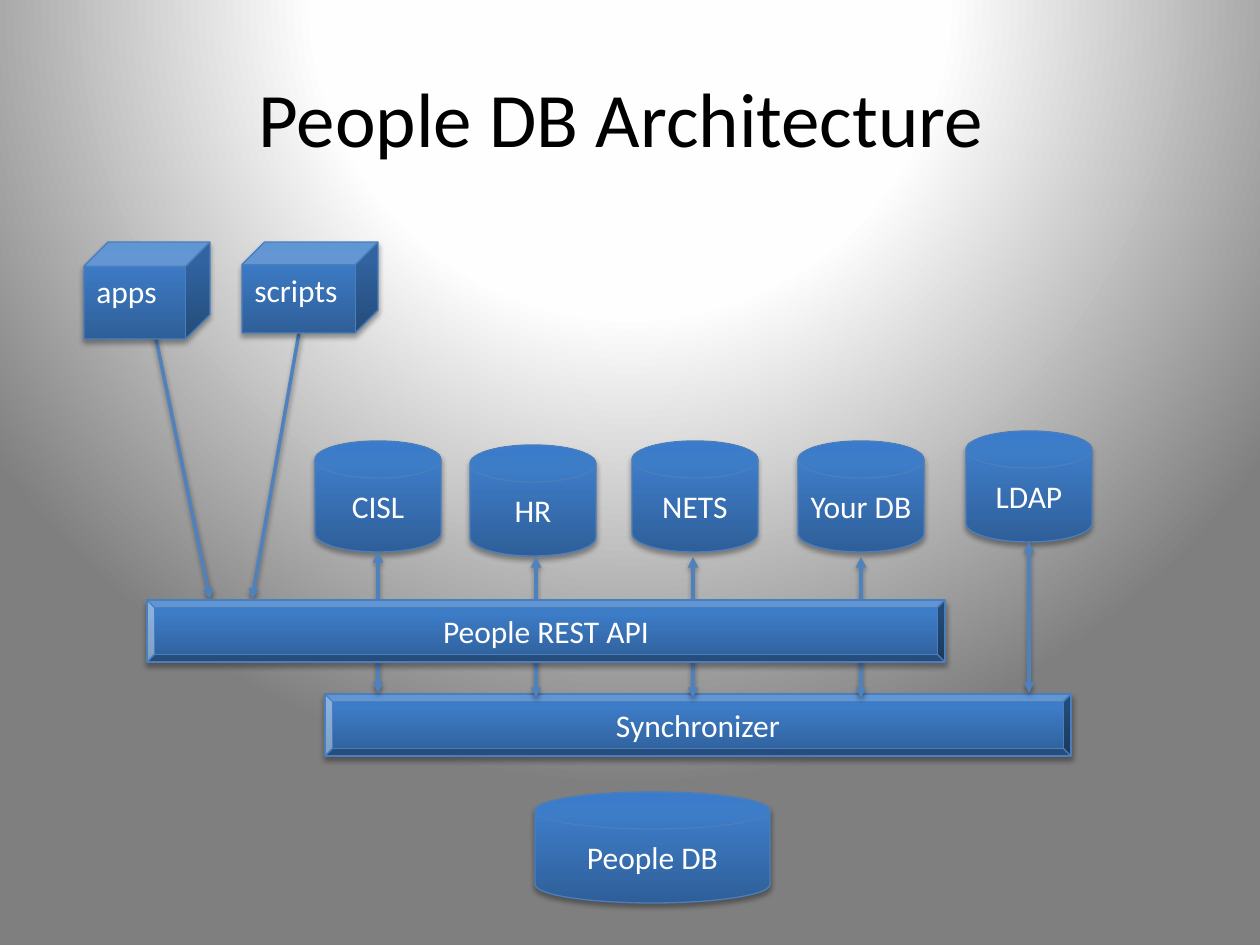
from pptx import Presentation
from pptx.dml.color import RGBColor
from pptx.enum.shapes import MSO_CONNECTOR, MSO_SHAPE
from pptx.enum.text import MSO_ANCHOR, PP_ALIGN
from pptx.oxml import parse_xml
from pptx.oxml.ns import nsdecls, qn
from pptx.util import Emu, Pt

CUBE, BEVEL = MSO_SHAPE.CUBE, MSO_SHAPE.BEVEL
DISK = MSO_SHAPE.FLOWCHART_MAGNETIC_DISK
TOP, MIDDLE = MSO_ANCHOR.TOP, MSO_ANCHOR.MIDDLE
LEFT, CENTER = PP_ALIGN.LEFT, PP_ALIGN.CENTER
STRAIGHT = MSO_CONNECTOR.STRAIGHT

FONT = "Calibri"
BLACK = RGBColor(0x00, 0x00, 0x00)
WHITE = RGBColor(0xFF, 0xFF, 0xFF)
OUTLINE = RGBColor(0x4B, 0x7E, 0xBC)
ARROW = RGBColor(0x4F, 0x81, 0xBD)
BLUE_STOPS = [
    (0, RGBColor(0x2F, 0x5F, 0x99)),
    (80, RGBColor(0x3D, 0x7C, 0xC7)),
    (100, RGBColor(0x3A, 0x7C, 0xCB)),
]
PAGE_STOPS = [
    (0, WHITE),
    (40, RGBColor(0xFE, 0xFE, 0xFE)),
    (100, RGBColor(0x7F, 0x7F, 0x7F)),
]
UPWARD = '<a:lin ang="16200000" scaled="0"/>'
SPOTLIGHT = ('<a:path path="circle">'
             '<a:fillToRect l="50000" t="-80000" r="50000" b="180000"/></a:path>')

TITLE = "People DB Architecture "
TITLE_BOX = (63, 38, 1134, 158)
DISK_SIZE = (126, 111)
# Label, box, arrow start, arrow end
CLIENTS = [
    ("apps", (84, 242, 126, 97), (210, 599), (136, 242)),
    ("scripts", (242, 242, 136, 91), (252, 599), (299, 333)),
]
# Label, disk left and top, arrow x, arrow top and bottom
SOURCES = [
    ("CISL", 315, 441, 378, 552, 693),
    ("HR", 470, 445, 536, 557, 698),
    ("NETS", 632, 441, 693, 557, 698),
    ("Your DB", 798, 441, 861, 557, 698),
    ("LDAP", 966, 431, 1029, 542, 693),
]
SYNCHRONIZER = ("Synchronizer", (325, 694, 746, 62))
PEOPLE_DB = ("People DB", (535, 792, 235, 111))
REST_API = ("People REST API", (147, 600, 798, 62))


def px(length):
    return Emu(round(length * 914400 / 126))


def paint_gradient(properties, stops, direction):
    """Replace the solid fill inside the properties element by a gradient."""
    stop_xml = "".join(
        f'<a:gs pos="{position * 1000}"><a:srgbClr val="{color}"/></a:gs>'
        for position, color in stops)
    gradient = parse_xml(
        f'<a:gradFill {nsdecls("a")} rotWithShape="1">'
        f'<a:gsLst>{stop_xml}</a:gsLst>{direction}</a:gradFill>')
    properties.replace(properties.find(qn("a:solidFill")), gradient)


def add_shadow(item, opacity, distance):
    item._element.spPr.append(parse_xml(
        f'<a:effectLst {nsdecls("a")}><a:outerShdw blurRad="{Pt(3.1)}" '
        f'dist="{Pt(distance)}" dir="5400000" rotWithShape="0">'
        f'<a:srgbClr val="{BLACK}"><a:alpha val="{opacity * 1000}"/></a:srgbClr>'
        '</a:outerShdw></a:effectLst>'))


def format_paragraph(para, size, color, alignment):
    para.alignment = alignment
    para.font.name = FONT
    para.font.size = Pt(size)
    para.font.color.rgb = color


def add_block(page, kind, label, box, anchor=MIDDLE, alignment=CENTER):
    block = page.shapes.add_shape(kind, *map(px, box))
    block.fill.solid()
    paint_gradient(block._element.spPr, BLUE_STOPS, UPWARD)
    block.line.color.rgb = OUTLINE
    block.line.width = Pt(0.75)
    add_shadow(block, 35, 1.8)
    frame = block.text_frame
    frame.word_wrap = True
    frame.vertical_anchor = anchor
    frame.text = label
    format_paragraph(frame.paragraphs[0], 18, WHITE, alignment)


def add_arrow(page, start, end, ends=("headEnd",)):
    arrow = page.shapes.add_connector(STRAIGHT, *map(px, start + end))
    arrow.line.color.rgb = ARROW
    arrow.line.width = Pt(2)
    for end_name in ends:
        arrow.line._get_or_add_ln().append(
            parse_xml(f'<a:{end_name} {nsdecls("a")} type="triangle"/>'))
    add_shadow(arrow, 38, 1.6)


def main():
    deck = Presentation()
    deck.slide_width, deck.slide_height = px(1260), px(945)
    page = deck.slides.add_slide(deck.slide_layouts[5])
    page.background.fill.solid()
    paint_gradient(page._element.cSld.bg.bgPr, PAGE_STOPS, SPOTLIGHT)

    title = page.shapes.title
    title.left, title.top, title.width, title.height = map(px, TITLE_BOX)
    title.text_frame.text = TITLE
    title.text_frame.vertical_anchor = MIDDLE
    format_paragraph(title.text_frame.paragraphs[0], 44, BLACK, CENTER)

    for label, box, start, end in CLIENTS:
        add_arrow(page, start, end)
        add_block(page, CUBE, label, box, TOP, LEFT)
    for label, left, top, *_ in SOURCES:
        add_block(page, DISK, label, (left, top, *DISK_SIZE))
    add_block(page, BEVEL, *SYNCHRONIZER)
    add_block(page, DISK, *PEOPLE_DB)
    for _, _, _, x, top, bottom in SOURCES:
        add_arrow(page, (x, bottom), (x, top), ("headEnd", "tailEnd"))
    add_block(page, BEVEL, *REST_API)

    deck.save("out.pptx")


if __name__ == "__main__":
    main()
